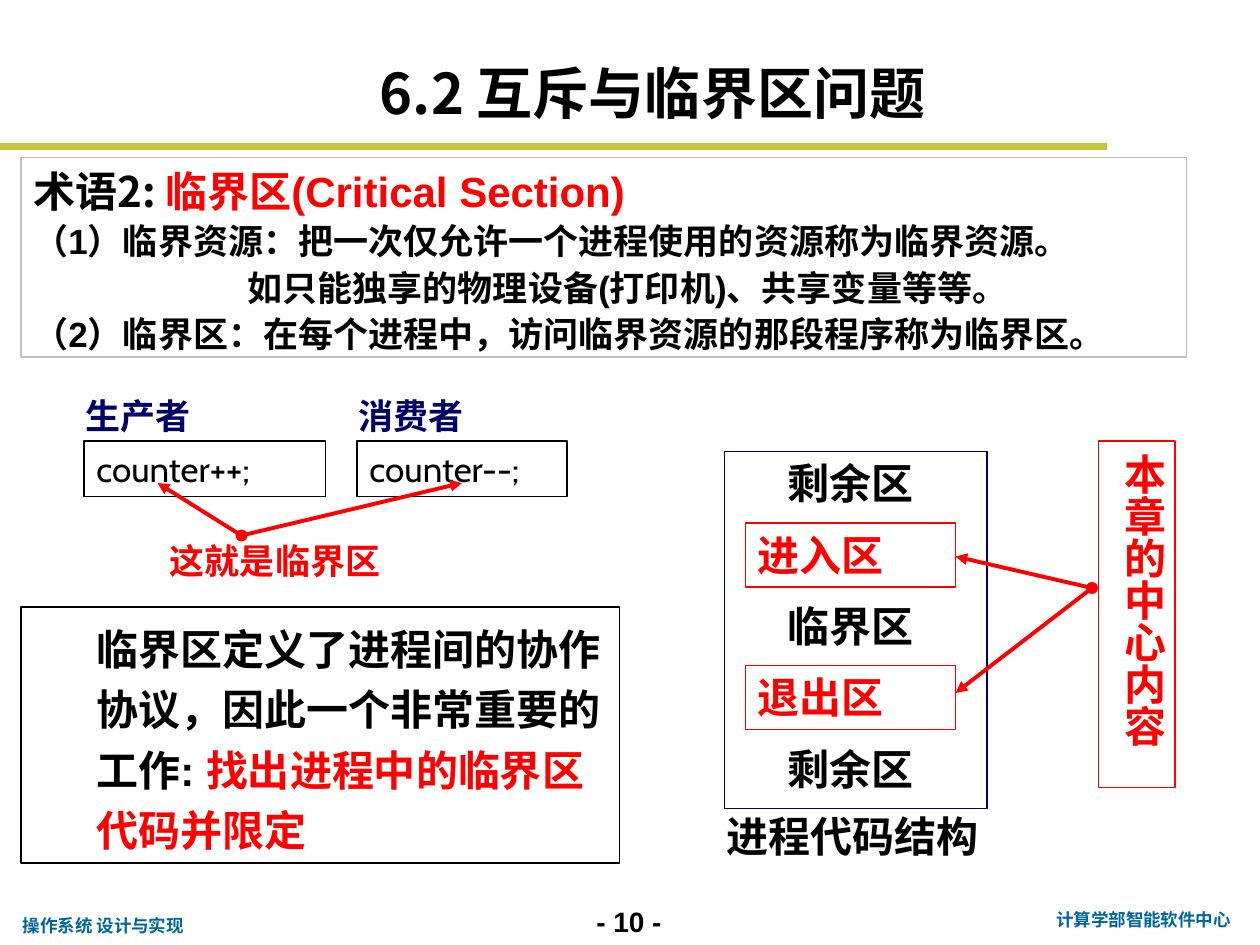
import lxml.etree
import pptx
import pptx.dml.color
import pptx.enum.shapes
import pptx.enum.text
import pptx.oxml.ns
import pptx.util

PX = 7620  # EMU in one px, 120 px to the inch
ALIGN = pptx.enum.text.PP_ALIGN
ANCHOR = pptx.enum.text.MSO_ANCHOR
THEME = {
    "black": "000000", "red": "FF0000", "navy": "000066", "teal": "006699",
    "olive": "C1C43C", "silver": "C0C0C0",
    "sans": "Arial", "cjk": "Noto Sans CJK SC", "code": "Cabin", "footer": "Roboto",
    "title": 32, "large": 24, "body": 20, "number": 16, "small": 10,
    "border": 0.75, "arrow": 2.25, "rule": 4,
}


def rgb(color):
    return pptx.dml.color.RGBColor.from_string(THEME[color])


def set_all(target, values):
    for name, value in values.items():
        setattr(target, name, value)


def span(text, color="black", size="large", font="sans", bold=True):
    return {"text": text, "color": color, "size": size, "font": font, "bold": bold}


def add_para(frame, spans, first, indent=0, **values):
    para = frame.paragraphs[0] if first else frame.add_paragraph()
    set_all(para, {"alignment": ALIGN.LEFT, **values})
    if indent:
        para._p.get_or_add_pPr().set("marL", str(indent * PX))
    for part in spans:
        run = para.add_run()
        run.text = part["text"]
        set_all(run.font, {"name": THEME[part["font"]], "bold": part["bold"],
                           "size": pptx.util.Pt(THEME[part["size"]])})
        run.font.color.rgb = rgb(part["color"])


def add_box(page, box, paras=(), border=None, anchor=ANCHOR.TOP, wrap=True):
    """Add a text box, or an outlined rectangle when a border colour is given.

    Each entry of paras is a pair: its spans and a dict of paragraph values.
    """
    place = [length * PX for length in box]
    if border:
        shape = page.shapes.add_shape(pptx.enum.shapes.MSO_SHAPE.RECTANGLE, *place)
        shape.shadow.inherit = False
        shape.fill.background()
        shape.line.color.rgb = rgb(border)
        shape.line.width = pptx.util.Pt(THEME["border"])
    else:
        shape = page.shapes.add_textbox(*place)
    set_all(shape.text_frame, {"word_wrap": wrap, "vertical_anchor": anchor})
    for index, (spans, values) in enumerate(paras):
        add_para(shape.text_frame, spans, index == 0, **values)
    return shape


def add_line(page, start, end, color, width, ends=()):
    line = page.shapes.add_connector(pptx.enum.shapes.MSO_CONNECTOR.STRAIGHT,
                                     *[length * PX for length in (*start, *end)])
    line.line.color.rgb = rgb(color)
    line.line.width = pptx.util.Pt(THEME[width])
    qn = pptx.oxml.ns.qn
    properties = line._element.spPr
    for tag, kind in ends:
        lxml.etree.SubElement(properties.find(qn("a:ln")), qn(tag), type=kind)
    lxml.etree.SubElement(properties, qn("a:effectLst"))


def add_arrows(page, start, tips):
    for tip in tips:
        add_line(page, start, tip, "red", "arrow",
                 [("a:headEnd", "oval"), ("a:tailEnd", "triangle")])


def add_footer(page, left, top, width):
    center = {"alignment": ALIGN.CENTER}
    style = {"color": "teal", "size": "small", "font": "footer"}
    add_box(page, (left, top + 10, 180, 32),
            [([span("操作系统 设计与实现", **style)], {})], wrap=False)
    add_box(page, (left + width // 2 - 60, top, 120, 44),
            [([span("- 10 -", size="number")], center)])
    add_box(page, (left + width - 198, top + 4, 198, 32),
            [([span("计算学部智能软件中心", **style)], center)])


def add_header(page, left, top, width, height):
    add_line(page, (left, top + height), (left + width, top + height), "olive", "rule")
    add_box(page, (left + 350, top + 50, 660, 76),
            [([span("6.2 互斥与临界区问题", size="title", font="cjk")], {})],
            anchor=ANCHOR.BOTTOM)


def add_definitions(page, box):
    spacing = {"line_spacing": 1.1}
    heading = [span("术语2: ", font="cjk"), span("临界区", "red", font="cjk"),
               span("(Critical Section)", "red")]
    lines = [("（1）临界资源：把一次仅允许一个进程使用的资源称为临界资源。", 0),
             ("如只能独享的物理设备(打印机)、共享变量等等。", 204),
             ("（2）临界区：在每个进程中，访问临界资源的那段程序称为临界区。", 0)]
    paras = [(heading, spacing)]
    paras += [([span(text, size="body")], {"indent": indent, **spacing})
              for text, indent in lines]
    add_box(page, box, paras, border="silver", anchor=ANCHOR.MIDDLE)


def add_counter_example(page, left, top):
    for offset, width, role, code in ((0, 230, "生产者", "counter++;"),
                                      (260, 200, "消费者", "counter--;")):
        add_box(page, (left + offset, top, 160, 52),
                [([span(role, "navy", "body")], {})])
        add_box(page, (left + offset + 10, top + 50, width, 53),
                [([span(code, size="body", font="code", bold=False)], {})],
                border="black")
    add_arrows(page, (left + 160, top + 140),
               [(left + 80, top + 90), (left + 370, top + 90)])
    add_box(page, (left + 80, top + 138, 270, 52),
            [([span("这就是临界区", "red", "body")], {})])


def add_protocol(page, box):
    spans = [span("临界区定义了进程间的协作协议，因此一个非常重要的工作: "),
             span("找出进程中的临界区代码并限定", "red")]
    add_box(page, box, [(spans, {"indent": 60, "line_spacing": 1.2})], border="black")


def add_code_structure(page, left, top, width, height):
    add_box(page, (left, top, width, height), border="navy")
    sections = ("剩余区", "进入区", "临界区", "退出区", "剩余区")
    step = height // len(sections)
    for index, section in enumerate(sections):
        row = top + index * step
        if index % 2:
            add_box(page, (left + 20, row, 200, 61),
                    [([span(section, "red")], {})], border="red")
        else:
            add_box(page, (left + 10, row, 220, 60),
                    [([span(section)], {"alignment": ALIGN.CENTER})])
    add_box(page, (left - 10, top + height - 4, 270, 60),
            [([span("进程代码结构")], {})])


def add_focus(page, left, top, width, height):
    """Add the upright label and its arrows to the entry and exit sections."""
    add_arrows(page, (left - 6, top + 140),
               [(left - 136, top + 110), (left - 136, top + 240)])
    label = add_box(page, (left, top, width, height),
                    [([span("本章的中心内容", "red")], {})], border="red")
    label.text_frame._txBody.bodyPr.set("vert", "eaVert")


def main():
    deck = pptx.Presentation()
    set_all(deck, {"slide_width": 1200 * PX, "slide_height": 900 * PX})
    page = deck.slides.add_slide(deck.slide_layouts[6])
    add_footer(page, 10, 856, 1178)
    add_header(page, 0, 0, 1054, 140)
    add_counter_example(page, 70, 370)
    add_protocol(page, (20, 578, 570, 244))
    add_code_structure(page, 690, 430, 250, 340)
    add_focus(page, 1046, 420, 73, 330)
    add_definitions(page, (20, 150, 1110, 190))
    deck.save("out.pptx")


if __name__ == "__main__":
    main()
